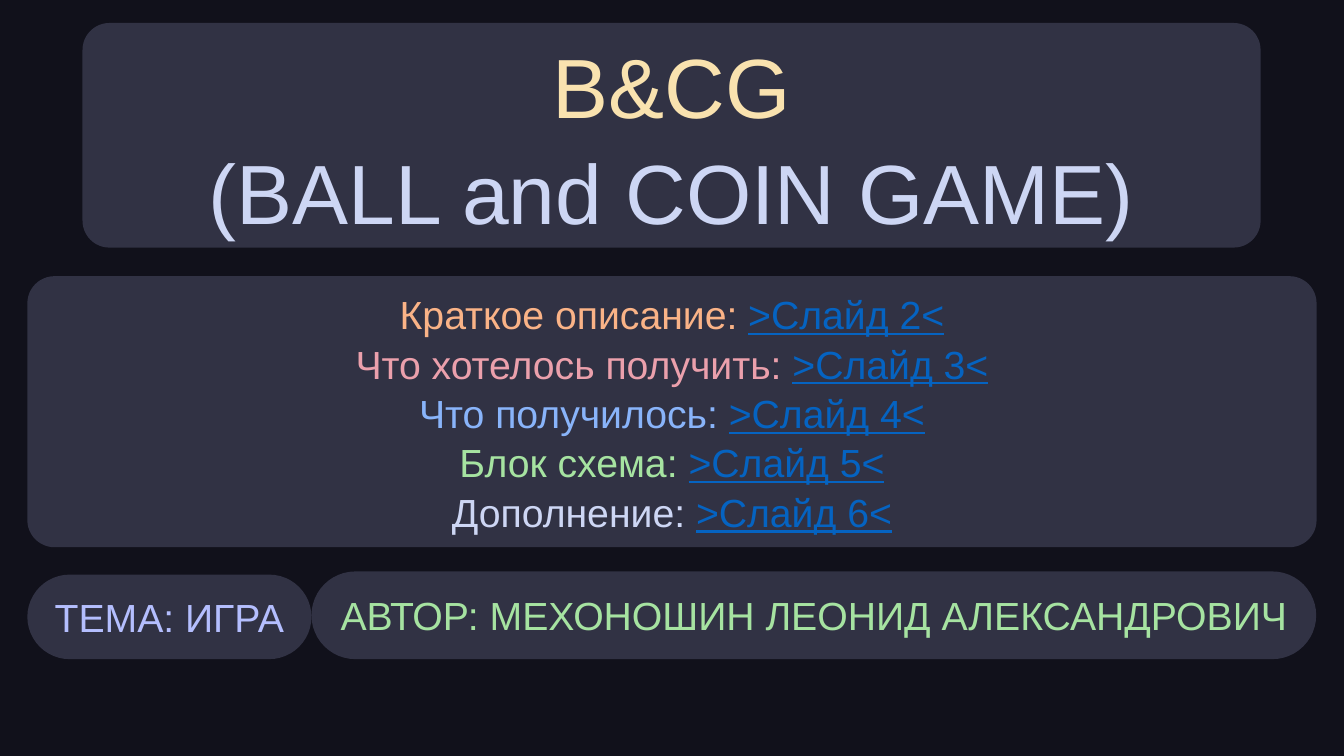
"""Build the title slide of the ball and coin game deck."""
from dataclasses import dataclass

import pptx
import pptx.dml.color
import pptx.enum.shapes
import pptx.enum.text
import pptx.util
from pptx.util import Cm

COLORS = {
    "base": "11111B",
    "panel": "313244",
    "yellow": "F9E2AF",
    "text": "CDD6F4",
    "peach": "FAB387",
    "maroon": "EBA0AC",
    "blue": "89B4FA",
    "green": "A6E3A1",
    "lavender": "B4BEFE",
    "link": "0563C1",
}


@dataclass(frozen=True)
class Panel:
    left: float
    top: float
    width: float
    height: float
    corner: float


TITLE = Panel(2.08, 0.58, 29.69, 5.66, 0.12)
CONTENTS = Panel(0.69, 6.96, 32.49, 6.83, 0.1)
TOPIC = Panel(0.69, 14.48, 7.16, 2.13, 0.5)
AUTHOR = Panel(7.85, 14.4, 25.32, 2.21, 0.5)

SECTIONS = [
    ("Краткое описание", "peach"),
    ("Что хотелось получить", "maroon"),
    ("Что получилось", "blue"),
    ("Блок схема", "green"),
    ("Дополнение", "text"),
]


def rgb(name: str) -> pptx.dml.color.RGBColor:
    return pptx.dml.color.RGBColor.from_string(COLORS[name])


def add_panel(s: pptx.slide.Slide, panel: Panel) -> pptx.text.text.TextFrame:
    sp = s.shapes.add_shape(
        pptx.enum.shapes.MSO_SHAPE.ROUNDED_RECTANGLE,
        Cm(panel.left), Cm(panel.top), Cm(panel.width), Cm(panel.height),
    )
    sp.adjustments[0] = panel.corner
    sp.shadow.inherit = False
    sp.fill.solid()
    sp.fill.fore_color.rgb = rgb("panel")
    sp.line.fill.background()
    tf = sp.text_frame
    tf.word_wrap = True
    tf.vertical_anchor = pptx.enum.text.MSO_ANCHOR.MIDDLE
    return tf


def add_line(tf: pptx.text.text.TextFrame, spacing: float = 1.0) -> pptx.text.text._Paragraph:
    p = tf.add_paragraph() if tf.text else tf.paragraphs[0]
    p.alignment = pptx.enum.text.PP_ALIGN.CENTER
    p.line_spacing = spacing
    return p


def add_text(p: pptx.text.text._Paragraph, text: str, *, color: str,
             size: float = 28, underline: bool = False) -> None:
    r = p.add_run()
    r.text = text
    r.font.name = "Arial"
    r.font.size = pptx.util.Pt(size)
    r.font.color.rgb = rgb(color)
    r.font.underline = underline


def main() -> None:
    prs = pptx.Presentation()
    prs.slide_width, prs.slide_height = Cm(33.87), Cm(19.05)
    s = prs.slides.add_slide(prs.slide_layouts[6])
    s.background.fill.solid()
    s.background.fill.fore_color.rgb = rgb("base")

    tf = add_panel(s, TITLE)
    for text, color in [("B&CG", "yellow"), ("(BALL and COIN GAME)", "text")]:
        add_text(add_line(tf, 1.05), text, color=color, size=60)

    tf = add_panel(s, CONTENTS)
    for number, (section, color) in enumerate(SECTIONS, start=2):
        p = add_line(tf, 1.05)
        add_text(p, f"{section}: ", color=color)
        add_text(p, f">Слайд {number}<", color="link", underline=True)

    for panel, text, color in [
        (TOPIC, "ТЕМА: ИГРА", "lavender"),
        (AUTHOR, "АВТОР: МЕХОНОШИН ЛЕОНИД АЛЕКСАНДРОВИЧ", "green"),
    ]:
        add_text(add_line(add_panel(s, panel)), text, color=color)

    prs.save("out.pptx")


if __name__ == "__main__":
    main()
